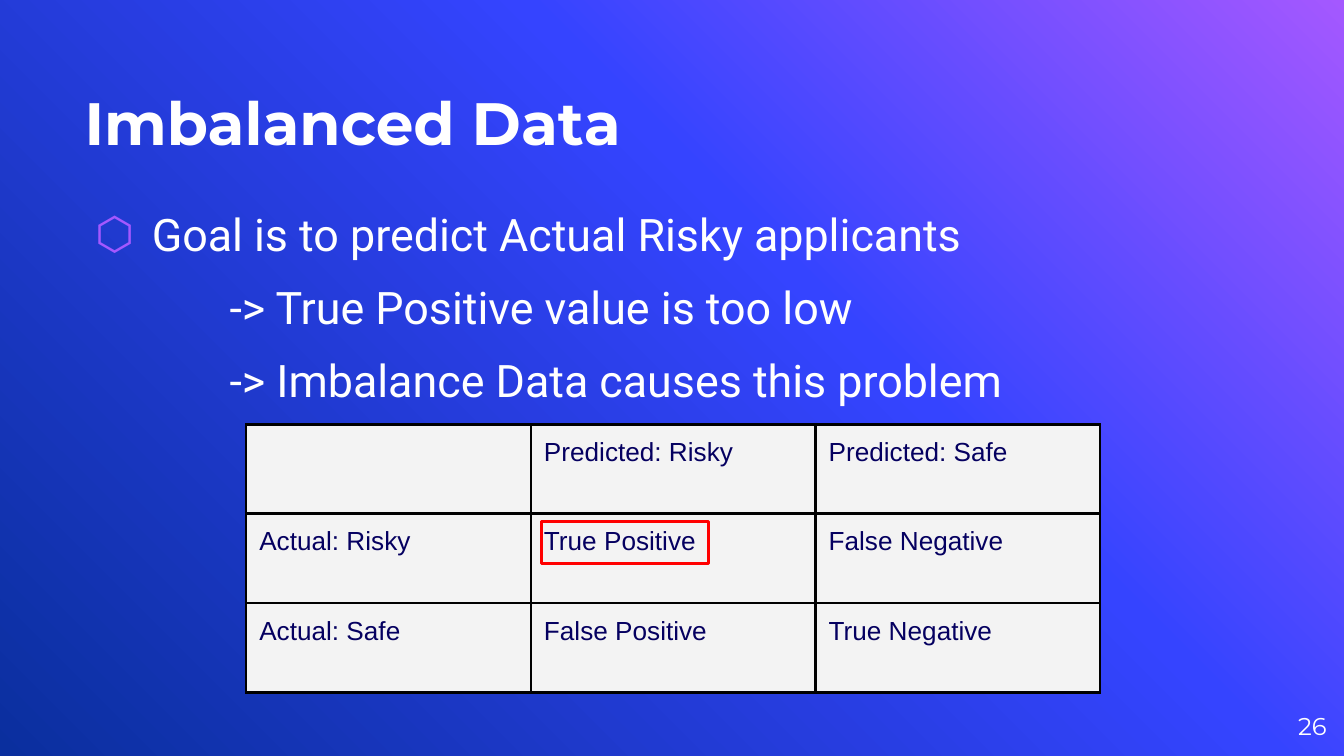
from copy import deepcopy
from dataclasses import dataclass

from lxml import etree
from pptx import Presentation
from pptx.dml.color import RGBColor
from pptx.enum import shapes, text
from pptx.oxml import ns
from pptx.util import Cm, Pt

WHITE = RGBColor(0xFF, 0xFF, 0xFF)
PURPLE = RGBColor(0xA4, 0x58, 0xFF)
BLUE = RGBColor(0x35, 0x44, 0xFF)
NAVY = RGBColor(0x0A, 0x2F, 0x9E)
INK = RGBColor(0x05, 0x00, 0x60)
LIGHT_GREY = RGBColor(0xF3, 0xF3, 0xF3)
BLACK = RGBColor(0x00, 0x00, 0x00)
RED = RGBColor(0xFF, 0x00, 0x00)

GRADIENT = [(0, PURPLE), (0.39, BLUE), (1, NAVY)]
CELL_W, CELL_H, CELL_INSET = Cm(5.38), Cm(1.69), Cm(0.25)
MATRIX = [
    ["", "Predicted: Risky", "Predicted: Safe"],
    ["Actual: Risky", "True Positive", "False Negative"],
    ["Actual: Safe", "False Positive", "True Negative"],
]


@dataclass
class Point:
    words: str
    margin: Cm
    indent: Cm = Cm(0)
    bullet: str = ""


POINTS = [
    Point("Goal is to predict Actual Risky applicants", Cm(1.27), Cm(-1.07), "⬡"),
    Point("-> True Positive value is too low", Cm(2.74)),
    Point("-> Imbalance Data causes this problem", Cm(2.74)),
]


def sub(parent, tag: str, **attrs):
    return etree.SubElement(parent, ns.qn(tag), {k: str(v) for k, v in attrs.items()})


def write(p, words: str, *, font: str, size: float, color: RGBColor,
          bold: bool = False, align=text.PP_ALIGN.LEFT) -> None:
    p.alignment = align
    r = p.add_run()
    r.text = words
    r.font.name, r.font.size, r.font.bold = font, Pt(size), bold
    r.font.color.rgb = color


def add_text_frame(s, left, top, width, height, anchor=text.MSO_ANCHOR.TOP):
    """Add a wrapping text box without insets and return its text frame."""
    tf = s.shapes.add_textbox(left, top, width, height).text_frame
    tf.word_wrap = True
    tf.vertical_anchor = anchor
    tf.margin_left = tf.margin_right = tf.margin_top = tf.margin_bottom = 0
    return tf


def paint_background(s) -> None:
    fill = s.background.fill
    fill.gradient()
    fill.gradient_angle = 225
    stops = s.element.find(".//" + ns.qn("a:gsLst"))
    stops.append(deepcopy(stops[0]))
    for stop, (position, color) in zip(fill.gradient_stops, GRADIENT):
        stop.position = position
        stop.color.rgb = color


def add_points(s, points: list[Point]) -> None:
    tf = add_text_frame(s, Cm(1.6), Cm(3.76), Cm(23.29), Cm(8.79))
    for i, point in enumerate(points):
        p = tf.add_paragraph() if i else tf.paragraphs[0]
        p.line_spacing = 1.15
        if i:
            p.space_before = Pt(6)
        pPr = p._p.get_or_add_pPr()
        pPr.set("marL", str(point.margin))
        pPr.set("indent", str(point.indent))
        if point.bullet:
            sub(sub(pPr, "a:buClr"), "a:srgbClr", val=PURPLE)
            sub(pPr, "a:buFont", typeface="Roboto")
            sub(pPr, "a:buChar", char=point.bullet)
        write(p, point.words, font="Roboto", size=24, color=WHITE)


def style_cell(cell) -> None:
    cell.margin_left = cell.margin_right = CELL_INSET
    cell.margin_top = cell.margin_bottom = CELL_INSET
    tcPr = cell._tc.get_or_add_tcPr()
    for side in ("a:lnL", "a:lnR", "a:lnT", "a:lnB"):
        ln = sub(tcPr, side, w=Pt(1.5))
        sub(sub(ln, "a:solidFill"), "a:srgbClr", val=BLACK)
    cell.fill.solid()
    cell.fill.fore_color.rgb = LIGHT_GREY


def add_matrix(s, rows: list[list[str]]) -> None:
    n_rows, n_cols = len(rows), len(rows[0])
    table = s.shapes.add_table(n_rows, n_cols, Cm(4.65), Cm(8.02),
                               CELL_W * n_cols, CELL_H * n_rows).table
    for i, row in enumerate(rows):
        for j, words in enumerate(row):
            cell = table.cell(i, j)
            style_cell(cell)
            if words:
                write(cell.text_frame.paragraphs[0], words,
                      font="Arial", size=14, color=INK)


def add_highlight(s) -> None:
    sp = s.shapes.add_shape(shapes.MSO_SHAPE.RECTANGLE,
                            Cm(10.24), Cm(9.86), Cm(3.15), Cm(0.8))
    sp.shadow.inherit = False
    sp.fill.background()
    sp.line.color.rgb = RED
    sp.line.width = Pt(1.5)


def main() -> None:
    prs = Presentation()
    prs.slide_width, prs.slide_height = Cm(25.4), Cm(14.29)
    s = prs.slides.add_slide(prs.slide_layouts[6])
    paint_background(s)

    title = add_text_frame(s, Cm(1.6), Cm(0.58), Cm(16.71), Cm(2.39),
                           text.MSO_ANCHOR.BOTTOM)
    write(title.paragraphs[0], "Imbalanced Data",
          font="Montserrat", size=32, color=WHITE, bold=True)
    add_points(s, POINTS)
    number = add_text_frame(s, Cm(23.55), Cm(13.18), Cm(1.52), Cm(1.09),
                            text.MSO_ANCHOR.MIDDLE)
    write(number.paragraphs[0], "26", font="Montserrat", size=13,
          color=WHITE, align=text.PP_ALIGN.RIGHT)
    add_matrix(s, MATRIX)
    add_highlight(s)
    prs.save("out.pptx")


if __name__ == "__main__":
    main()
